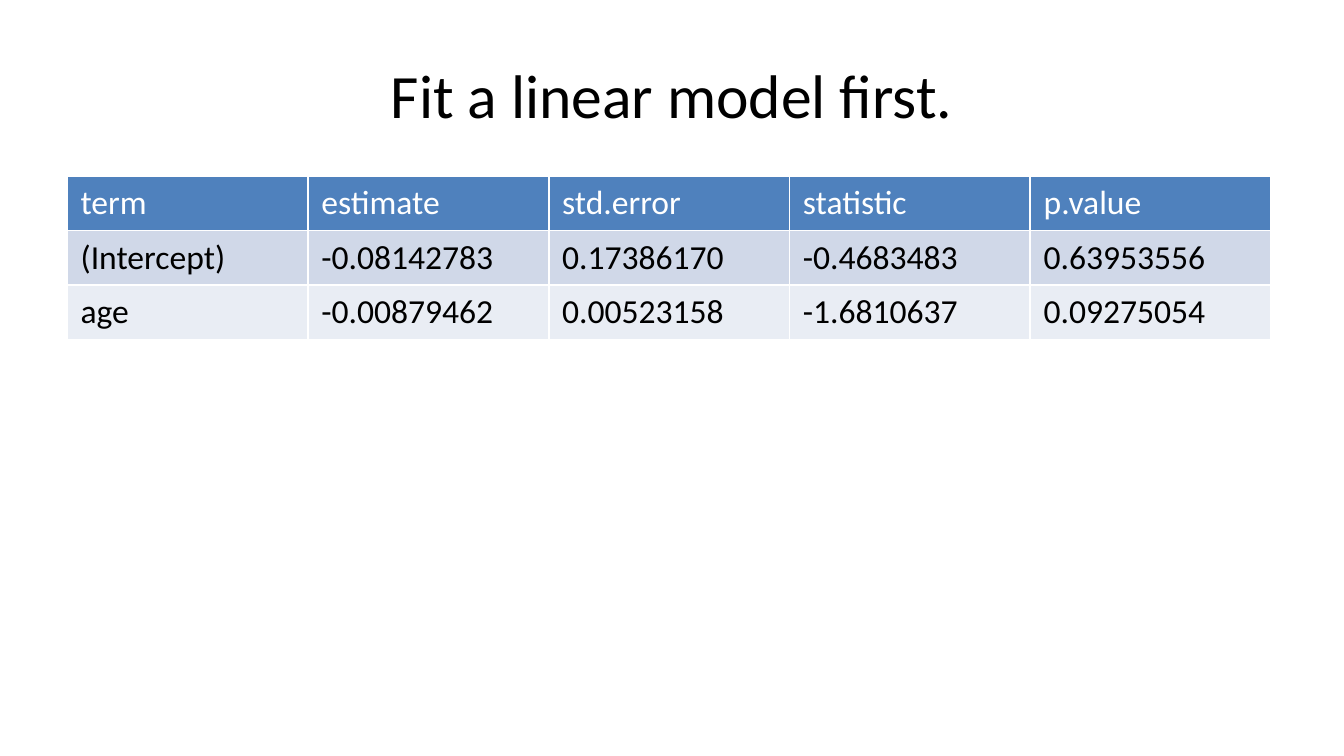
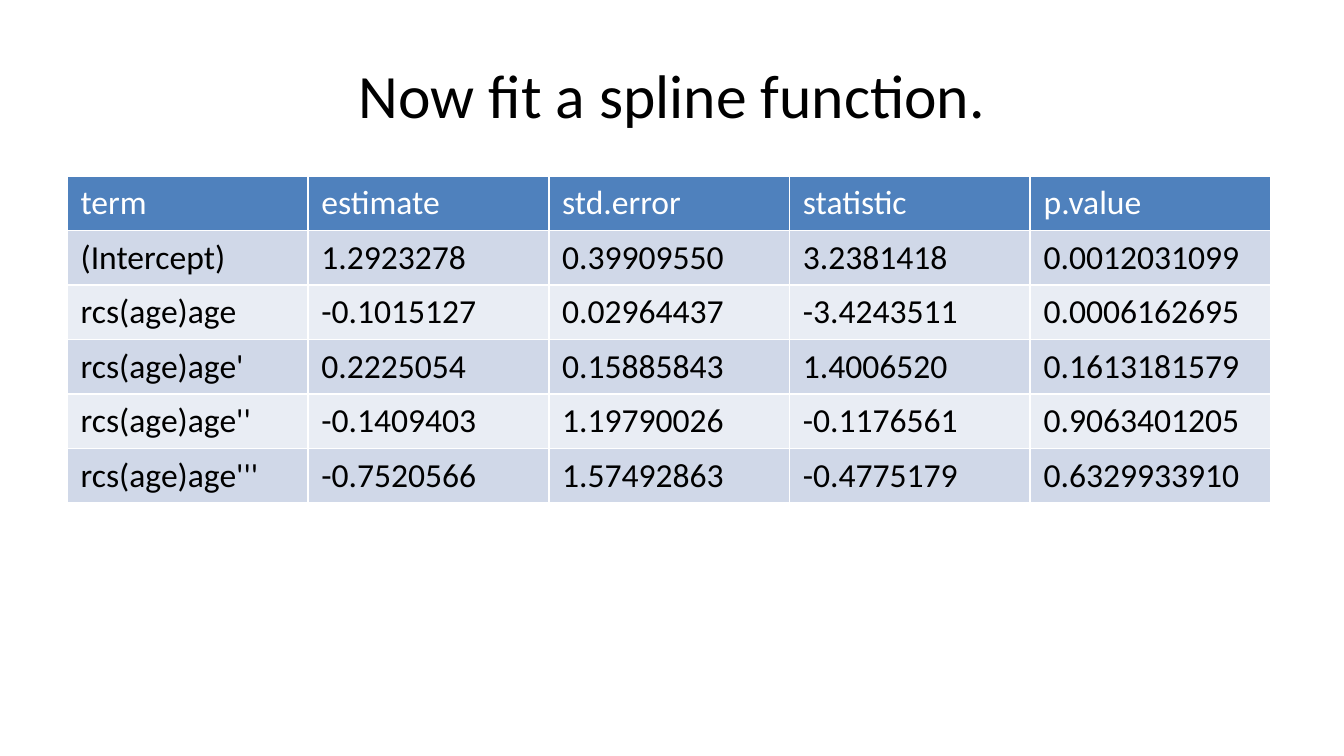
from dataclasses import dataclass

from pptx import Presentation
from pptx.dml.color import RGBColor
from pptx.enum.text import MSO_ANCHOR, PP_ALIGN
from pptx.util import Cm, Pt

CENTER = PP_ALIGN.CENTER
MIDDLE = MSO_ANCHOR.MIDDLE
TITLE_ONLY = 5


@dataclass(frozen=True)
class Theme:
    font: str = "Calibri"
    title_size: int = 33
    table_size: int = 18
    ink: str = "000000"
    header_ink: str = "FFFFFF"
    header_fill: str = "4F81BD"
    bands: tuple = ("D0D8E8", "E9EDF4")


THEME = Theme()

# Layout in centimetres
LEFT, WIDTH = 1.27, 22.86
TITLE_TOP, TITLE_HEIGHT = 0.58, 2.39
TABLE_TOP, TABLE_HEIGHT = 3.33, 9.42
COLUMN_WIDTH, ROW_HEIGHT = 4.55, 1.03

# Model results
HEADER = ("term", "estimate", "std.error", "statistic", "p.value")
MODELS = {
    "Fit a linear model first.": [
        ("(Intercept)", "-0.08142783", "0.17386170", "-0.4683483", "0.63953556"),
        ("age", "-0.00879462", "0.00523158", "-1.6810637", "0.09275054"),
    ],
    "Now fit a spline function.": [
        ("(Intercept)", "1.2923278", "0.39909550", "3.2381418", "0.0012031099"),
        ("rcs(age)age", "-0.1015127", "0.02964437", "-3.4243511", "0.0006162695"),
        ("rcs(age)age'", "0.2225054", "0.15885843", "1.4006520", "0.1613181579"),
        ("rcs(age)age''", "-0.1409403", "1.19790026", "-0.1176561", "0.9063401205"),
        ("rcs(age)age'''", "-0.7520566", "1.57492863", "-0.4775179", "0.6329933910"),
    ],
}


def write(text_frame, text, size, color):
    text_frame.text = text
    paragraph = text_frame.paragraphs[0]
    font = paragraph.runs[0].font
    font.name = THEME.font
    font.size = Pt(size)
    font.bold = False
    font.color.rgb = RGBColor.from_string(color)
    return paragraph


deck = Presentation()
deck.slide_width, deck.slide_height = Cm(25.4), Cm(14.29)

for heading, estimates in MODELS.items():
    page = deck.slides.add_slide(deck.slide_layouts[TITLE_ONLY])

    # Title
    title = page.shapes.title
    title.left, title.top = Cm(LEFT), Cm(TITLE_TOP)
    title.width, title.height = Cm(WIDTH), Cm(TITLE_HEIGHT)
    title.text_frame.vertical_anchor = MIDDLE
    write(title.text_frame, heading, THEME.title_size, THEME.ink).alignment = CENTER

    # Coefficient table; the default table style draws the white rules
    rows = [HEADER, *estimates]
    frame = page.shapes.add_table(len(rows), len(HEADER), Cm(LEFT), Cm(TABLE_TOP),
                                  Cm(WIDTH), Cm(TABLE_HEIGHT))
    table = frame.table
    for column in table.columns:
        column.width = Cm(COLUMN_WIDTH)
    for index, values in enumerate(rows):
        table.rows[index].height = Cm(ROW_HEIGHT)
        is_header = index == 0
        fill = THEME.header_fill if is_header else THEME.bands[(index - 1) % 2]
        ink = THEME.header_ink if is_header else THEME.ink
        for cell, value in zip(table.rows[index].cells, values):
            cell.fill.solid()
            cell.fill.fore_color.rgb = RGBColor.from_string(fill)
            write(cell.text_frame, value, THEME.table_size, ink)
    frame.width, frame.height = Cm(WIDTH), Cm(TABLE_HEIGHT)

deck.save("out.pptx")
